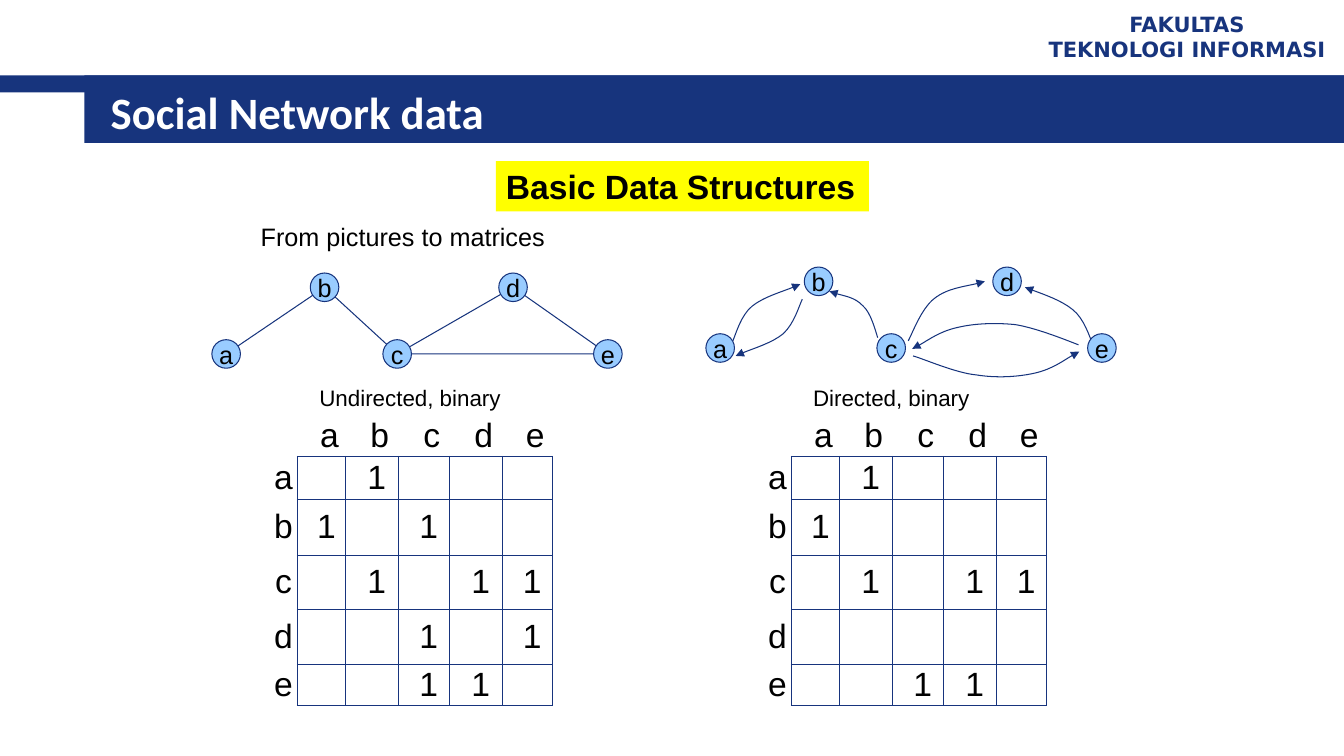
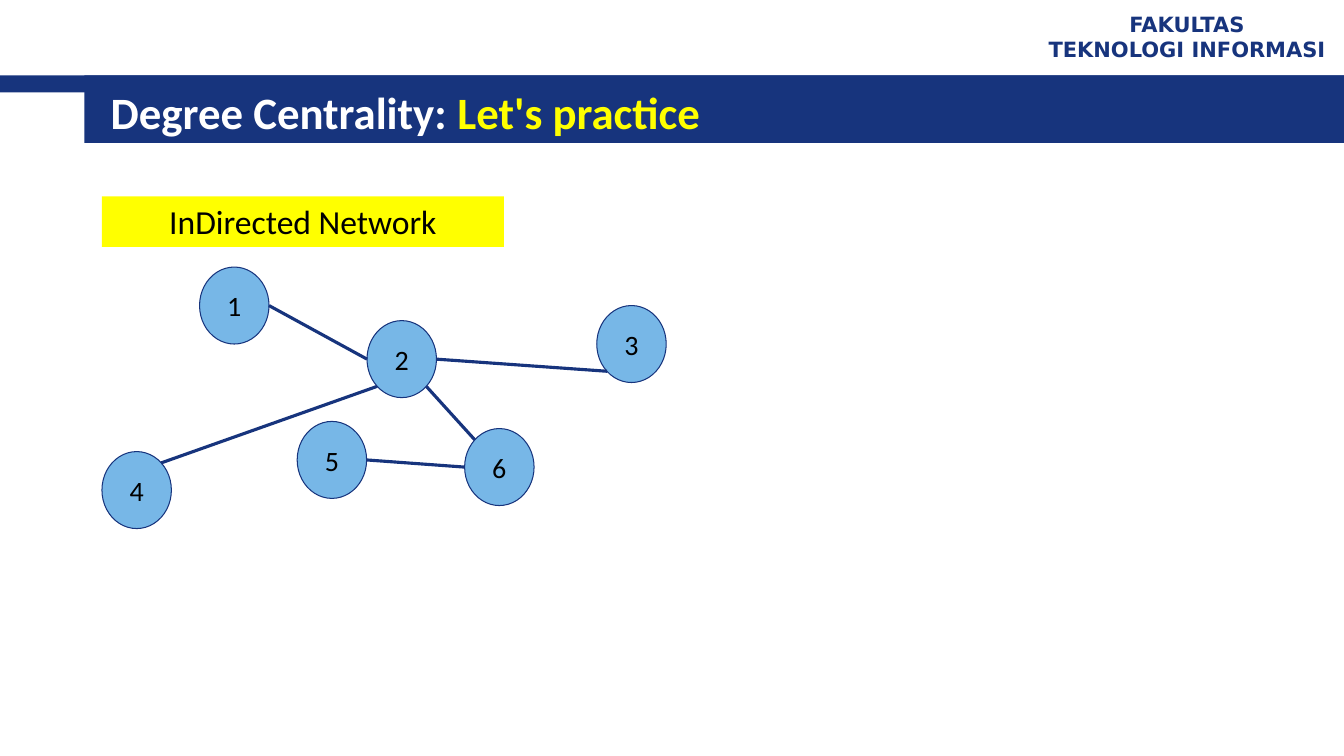
"""Build two lecture slides on social network data and degree centrality."""
from math import cos, radians, sin

from lxml.etree import SubElement
from pptx import Presentation
from pptx.dml.color import RGBColor
from pptx.enum.shapes import MSO_CONNECTOR as CONN, MSO_SHAPE as SHAPE
from pptx.enum.text import MSO_ANCHOR as ANCHOR, PP_ALIGN as ALIGN
from pptx.oxml.ns import qn
from pptx.util import Cm, Pt

THEME = {
    "navy": RGBColor(0x17, 0x34, 0x7D),
    "yellow": RGBColor(0xFF, 0xFF, 0x00),
    "sky": RGBColor(0x99, 0xCC, 0xFF),
    "blue": RGBColor(0x77, 0xB7, 0xE7),
    "white": RGBColor(0xFF, 0xFF, 0xFF),
    "black": RGBColor(0x00, 0x00, 0x00),
    "thin": Pt(0.75),
    "thick": Pt(2.25),
    "faculty": ("DejaVu Sans", 15, True, "navy"),
    "title": ("Calibri", 32, True, "white"),
    "heading": ("Arial", 24, True, "black"),
    "lead": ("Arial", 18, False, "black"),
    "caption": ("Arial", 16, False, "black"),
    "matrix": ("Arial", 24, False, "black"),
    "node": ("Arial", 18, False, "black"),
    "label": ("Calibri", 24, False, "black"),
    "big_node": ("Calibri", 20, False, "black"),
}


def set_font(font, style):
    name, size, bold, color = THEME[style]
    font.name, font.size, font.bold = name, Pt(size), bold
    font.color.rgb = THEME[color]


def add_box(slide, box, text="", style="lead", shape=None, fill=None, line=None,
            align=ALIGN.LEFT, anchor=ANCHOR.TOP, wrap=False):
    box = [Cm(v) for v in box]
    if shape is None:
        sp = slide.shapes.add_textbox(*box)
    else:
        sp = slide.shapes.add_shape(shape, *box)
        sp.shadow.inherit = False
        sp.fill.solid()
        sp.fill.fore_color.rgb = THEME[fill]
        if line:
            sp.line.color.rgb, sp.line.width = THEME[line], THEME["thin"]
        else:
            sp.line.fill.background()
    tf = sp.text_frame
    tf.word_wrap, tf.vertical_anchor = wrap, anchor
    if shape == SHAPE.OVAL:
        tf.margin_left = tf.margin_right = tf.margin_top = tf.margin_bottom = 0
    tf.text = text
    for p in tf.paragraphs:
        p.alignment = align
        for r in p.runs:
            set_font(r.font, style)
    return sp


prs = Presentation()
prs.slide_width, prs.slide_height = Cm(33.87), Cm(19.05)
titles = [
    [("Social Network data", "white")],
    [("Degree Centrality: ", "white"), ("Let's practice", "yellow")],
]
for title in titles:
    slide = prs.slides.add_slide(prs.slide_layouts[6])
    for band in [(0, 1.9, 33.87, 0.43), (2.13, 1.9, 31.74, 1.7)]:
        add_box(slide, band, shape=SHAPE.RECTANGLE, fill="navy")
    add_box(slide, (25.98, 0.13, 7.87, 1.57), "FAKULTAS\nTEKNOLOGI INFORMASI", "faculty",
            align=ALIGN.CENTER, anchor=ANCHOR.MIDDLE, wrap=True)
    sp = add_box(slide, (2.54, 2.03, 30.2, 1.57), anchor=ANCHOR.MIDDLE, wrap=True)
    for text, color in title:
        r = sp.text_frame.paragraphs[0].add_run()
        r.text = text
        set_font(r.font, "title")
        r.font.color.rgb = THEME[color]

structures, practice = prs.slides

add_box(structures, (12.5, 4.06, 9.4, 1.27), "Basic Data Structures", "heading",
        SHAPE.RECTANGLE, "yellow")
add_box(structures, (6.32, 5.46, 7.75, 1.02), "From pictures to matrices")

names = "abcde"
diameter = 0.72
centres = {"a": (5.7, 8.92), "b": (8.18, 7.24), "c": (10.01, 8.92),
           "d": (12.93, 7.24), "e": (15.32, 8.92)}
col_widths = [0.89, 1.22, 1.32, 1.3, 1.32, 1.27]
row_heights = [0.98, 1.09, 1.4, 1.37, 1.4, 0.98]
networks = [
    ("Undirected, binary", 7.8, 0, 0, ["01000", "10100", "01011", "00101", "00110"]),
    ("Directed, binary", 20.24, 12.45, -0.15, ["01000", "10000", "01011", "00000", "00110"]),
]
curves = [
    [(18.47, 8.59), (18.54, 8.43), (18.67, 7.95), (18.95, 7.72),
     (19.23, 7.49), (19.91, 7.29), (20.17, 7.16)],
    [(20.22, 7.54), (20.14, 7.7), (20.02, 8.15), (19.74, 8.41),
     (19.46, 8.64), (18.8, 8.84), (18.54, 8.97)],
    [(22.89, 8.59), (22.99, 8.41), (23.22, 7.77), (23.55, 7.52),
     (23.88, 7.26), (24.54, 7.19), (24.82, 7.09)],
    [(23.01, 8.97), (23.27, 9.04), (24.08, 9.4), (24.61, 9.45), (25.12, 9.53),
     (25.65, 9.5), (26.09, 9.4), (26.52, 9.3), (26.97, 8.97), (27.2, 8.86)],
    [(27.53, 8.64), (27.46, 8.51), (27.33, 8.03), (27.03, 7.8),
     (26.75, 7.57), (26.09, 7.34), (25.83, 7.24)],
    [(27.18, 8.69), (26.92, 8.59), (26.11, 8.26), (25.58, 8.18), (25.07, 8.13),
     (24.54, 8.15), (24.1, 8.26), (23.67, 8.36), (23.22, 8.69), (22.99, 8.79)],
    [(22.12, 8.51), (22.07, 8.36), (21.95, 7.87), (21.74, 7.7),
     (21.54, 7.49), (21.08, 7.42), (20.9, 7.34)],
]
undirected_path = [centres[name] for name in "abcdec"]

for points in [undirected_path] + curves:
    start, *rest = [(Cm(x), Cm(y)) for x, y in points]
    builder = structures.shapes.build_freeform(*start)
    builder.add_line_segments(rest, close=False)
    sp = builder.convert_to_shape()
    sp.shadow.inherit = False
    sp.fill.background()
    sp.line.color.rgb, sp.line.width = THEME["navy"], THEME["thin"]
    if points is undirected_path:
        continue
    outline = sp._element.find(".//" + qn("a:path"))
    segments = outline.findall(qn("a:lnTo"))
    for i in range(0, len(segments), 3):
        bezier = SubElement(outline, qn("a:cubicBezTo"))
        for segment in segments[i:i + 3]:
            bezier.append(segment[0])
            outline.remove(segment)
    SubElement(sp._element.spPr.find(qn("a:ln")), qn("a:tailEnd"), type="triangle")

for caption, caption_left, dx, dy, rows in networks:
    for name, (x, y) in centres.items():
        add_box(structures, (x + dx - diameter / 2, y + dy - diameter / 2, diameter, diameter),
                name, "node", SHAPE.OVAL, "sky", "navy", ALIGN.CENTER, ANCHOR.MIDDLE)
    add_box(structures, (caption_left, 9.55, 5.13, 0.94), caption, "caption")

    frame = structures.shapes.add_table(6, 6, Cm(6.6 + dx), Cm(10.48),
                                        Cm(sum(col_widths)), Cm(sum(row_heights)))
    table = frame.table
    table.first_row = table.horz_banding = False
    style_id = frame._element.find(".//" + qn("a:tableStyleId"))
    style_id.text = "{2D5ABB26-0587-4C30-8999-92F81FD0307C}"
    for i in range(6):
        table.columns[i].width = Cm(col_widths[i])
        table.rows[i].height = Cm(row_heights[i])
    grid = [" " + names] + [name + row.replace("0", " ") for name, row in zip(names, rows)]
    for i, row in enumerate(grid):
        for j, mark in enumerate(row):
            cell = table.cell(i, j)
            cell.margin_top = cell.margin_bottom = cell.margin_right = 0
            cell.margin_left = Cm(0.25 if i and j else 0.4 if j else 0.2)
            cell.vertical_anchor = ANCHOR.MIDDLE
            p = cell.text_frame.paragraphs[0]
            p.text = mark.strip()
            p.alignment = ALIGN.CENTER
            set_font(p.font, "matrix")
            for r in p.runs:
                set_font(r.font, "matrix")
            sides = "LRTB" if i and j else "R" if i else "B" if j else ""
            tc_pr = cell._tc.get_or_add_tcPr()
            for side in sides:
                ln = SubElement(tc_pr, qn("a:ln" + side), w=str(THEME["thin"]))
                solid = SubElement(ln, qn("a:solidFill"))
                SubElement(solid, qn("a:srgbClr"), val=str(THEME["navy"]))
            cell.fill.background()

add_box(practice, (2.57, 4.95, 10.13, 1.27), "InDirected Network", "label",
        SHAPE.RECTANGLE, "yellow", align=ALIGN.CENTER, wrap=True)
node_w, node_h = 1.75, 1.94
corners = {"1": (5.03, 6.73), "2": (9.25, 8.08), "3": (15.04, 7.7),
           "4": (2.57, 11.38), "5": (7.49, 10.62), "6": (11.71, 10.8)}
nodes = {}
for name, (x, y) in corners.items():
    nodes[name] = add_box(practice, (x, y, node_w, node_h), name, "big_node", SHAPE.OVAL,
                          "blue", "navy", ALIGN.CENTER, ANCHOR.MIDDLE)

edges = [("4", 7, "2", 3), ("2", 2, "1", 6), ("3", 3, "2", 6), ("6", 2, "5", 6), ("2", 5, "6", 1)]
for begin, begin_site, end, end_site in edges:
    ends = []
    for name, site in [(begin, begin_site), (end, end_site)]:
        x, y = corners[name]
        angle = radians(90 + 45 * site)
        ends += [Cm(x + node_w / 2 * (1 + cos(angle))), Cm(y + node_h / 2 * (1 - sin(angle)))]
    link = practice.shapes.add_connector(CONN.STRAIGHT, *ends)
    link.line.color.rgb, link.line.width = THEME["navy"], THEME["thick"]
    SubElement(link._element.spPr, qn("a:effectLst"))
    joints = link._element.find(".//" + qn("p:cNvCxnSpPr"))
    for tag, name, site in [("a:stCxn", begin, begin_site), ("a:endCxn", end, end_site)]:
        SubElement(joints, qn(tag), id=str(nodes[name].shape_id), idx=str(site))

prs.save("out.pptx")
